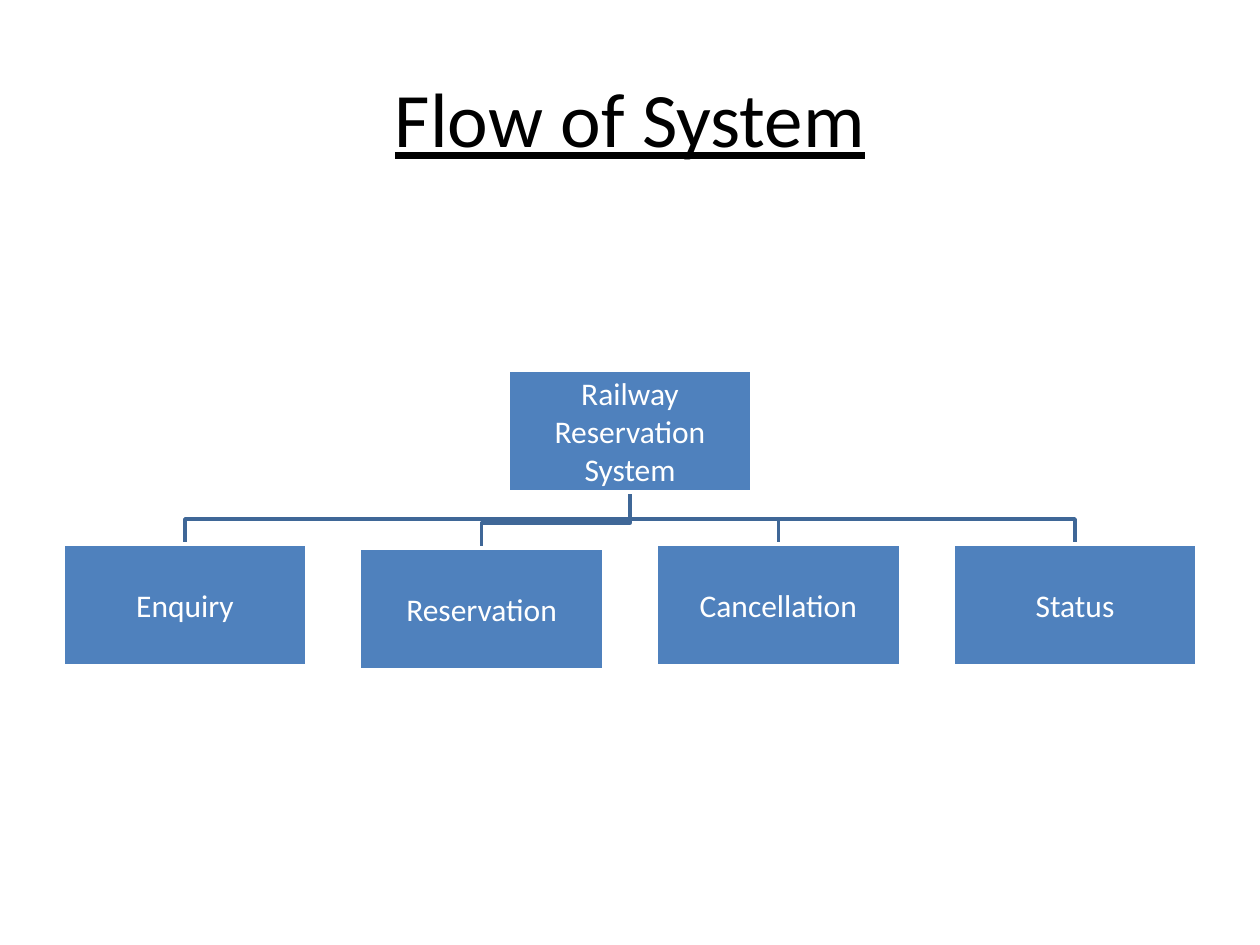
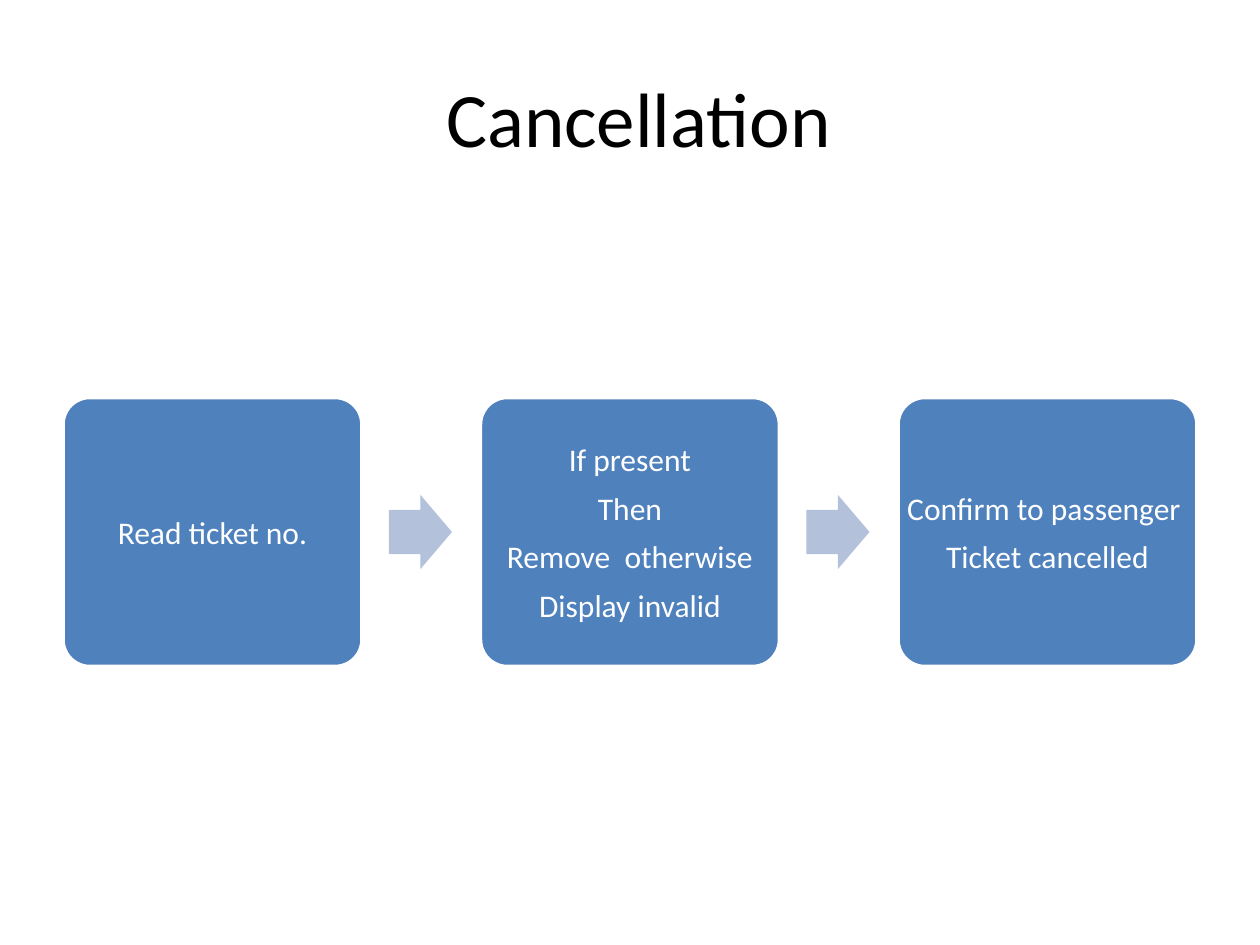
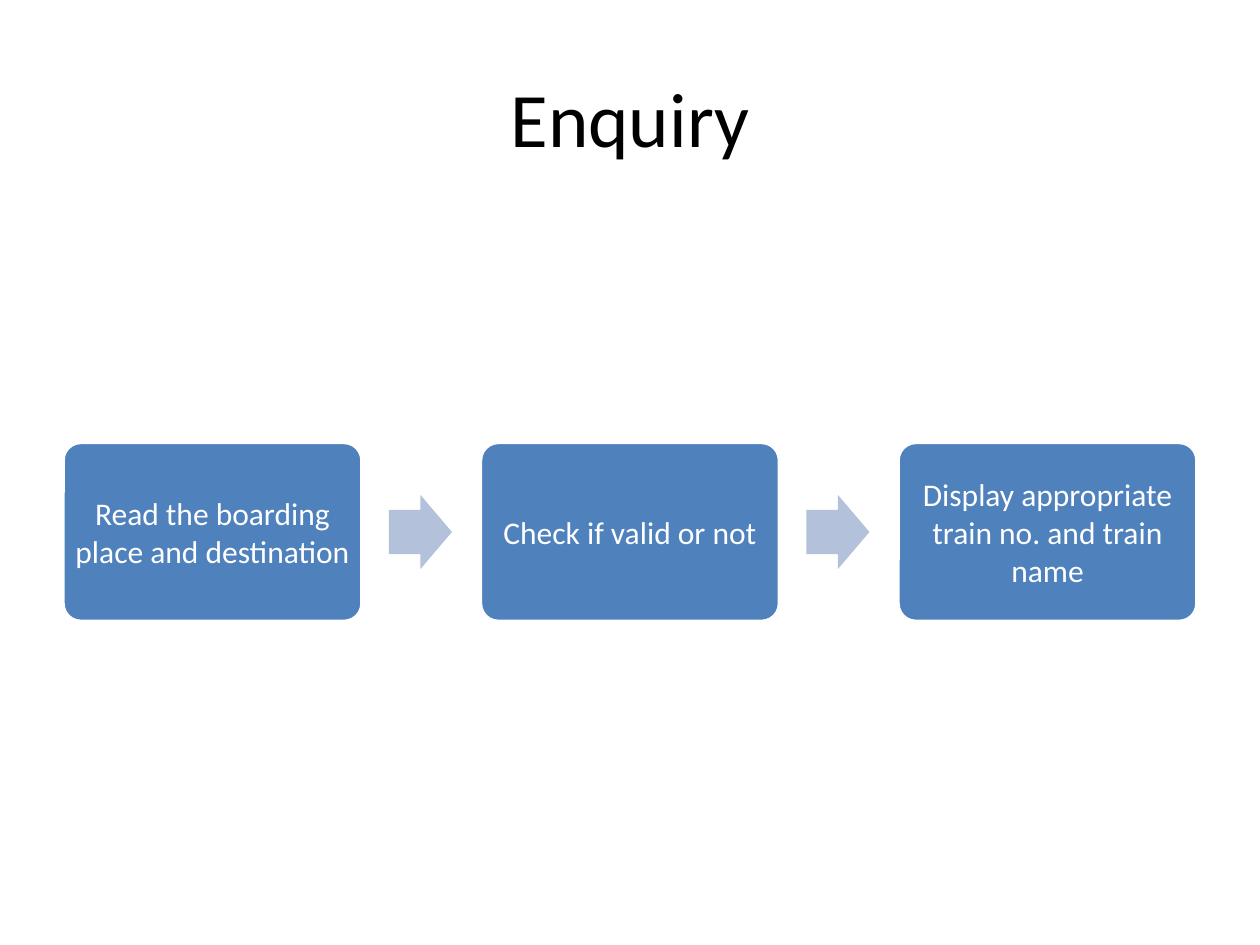
"""Builds three slides on a railway reservation system: its parts and two processes."""
from pptx import Presentation
from pptx.dml.color import RGBColor
from pptx.enum.shapes import MSO_SHAPE
from pptx.enum.text import MSO_ANCHOR, PP_ALIGN
from pptx.util import Pt

RECT, ROUNDED, ARROW = MSO_SHAPE.RECTANGLE, MSO_SHAPE.ROUNDED_RECTANGLE, MSO_SHAPE.RIGHT_ARROW
CENTER, MIDDLE = PP_ALIGN.CENTER, MSO_ANCHOR.MIDDLE

SYSTEM_TITLE = "Flow of System"
SYSTEM = "Railway Reservation System"
MODULES = [("Enquiry", 0), ("Reservation", 4), ("Cancellation", 0), ("Status", 0)]
PROCESSES = [
    (" Cancellation", 269, [
        ["Read ticket no."],
        ["If present", "Then", "Remove  otherwise", "Display invalid"],
        ["Confirm to passenger ", "Ticket cancelled"],
    ]),
    ("Enquiry", 179, [
        ["Read the boarding place and destination"],
        ["Check if valid or not"],
        ["Display appropriate train no. and train name"],
    ]),
]

FONT = "Calibri"
BLACK, WHITE, BLUE, BRANCH_BLUE, PALE_BLUE = "000000", "FFFFFF", "4F81BD", "3F6797", "B3C1DB"
EMU_PER_PX = 914400 / 126
SLIDE_W, SLIDE_H = 1260, 945
LEFT, CONTENT_W = 63, 1134
TITLE_TOP, TITLE_H = 38, 158
MODULE_W, MODULE_H = 244, 122
SYSTEM_TOP, MODULES_TOP, BRANCH_DROP = 370, 544, 25
STEP_W, FLOW_MIDDLE = 299, 532
ARROW_W, ARROW_H, ARROW_GAP = 63, 74, 27
CORNER = 0.1
CORNER_INSET = 0.29


def px(length):
    return round(length * EMU_PER_PX)


def color(hex_code):
    return RGBColor.from_string(hex_code)


def write(paragraph, text, size, hex_code, underline=None):
    paragraph.alignment = CENTER
    run = paragraph.add_run()
    run.text = text
    run.font.name = FONT
    run.font.size = Pt(size)
    run.font.color.rgb = color(hex_code)
    run.font.underline = underline


def titled_slide(deck, text, underline=None):
    slide = deck.slides.add_slide(deck.slide_layouts[5])
    title = slide.shapes.title
    title.left, title.top = px(LEFT), px(TITLE_TOP)
    title.width, title.height = px(CONTENT_W), px(TITLE_H)
    title.text_frame.vertical_anchor = MIDDLE
    write(title.text_frame.paragraphs[0], text, 44, BLACK, underline)
    return slide


def filled(slide, kind, x, y, w, h, fill):
    shape = slide.shapes.add_shape(kind, px(x), px(y), px(w), px(h))
    shape.shadow.inherit = False
    shape.fill.solid()
    shape.fill.fore_color.rgb = color(fill)
    shape.line.fill.background()
    return shape


def box(slide, kind, x, y, w, h, lines, margin):
    shape = filled(slide, kind, x, y, w, h, BLUE)
    shape.line.color.rgb = color(WHITE)
    shape.line.width = Pt(2)
    frame = shape.text_frame
    frame.word_wrap = True
    frame.vertical_anchor = MIDDLE
    frame.margin_left = frame.margin_right = px(margin)
    frame.margin_top = frame.margin_bottom = px(margin)
    for number, line in enumerate(lines):
        paragraph = frame.add_paragraph() if number else frame.paragraphs[0]
        paragraph.space_after = Pt(6.3)
        write(paragraph, line, 18, WHITE)
    return shape


def branch(slide, start_x, start_y, end_x, end_y):
    bend_y = end_y - BRANCH_DROP
    outline = slide.shapes.build_freeform(px(start_x), px(start_y))
    corners = [(start_x, bend_y), (end_x, bend_y), (end_x, end_y)]
    outline.add_line_segments([(px(x), px(y)) for x, y in corners], close=False)
    shape = outline.convert_to_shape()
    shape.shadow.inherit = False
    shape.fill.background()
    shape.line.color.rgb = color(BRANCH_BLUE)
    shape.line.width = Pt(2)


def system_slide(deck):
    slide = titled_slide(deck, SYSTEM_TITLE, underline=True)
    pitch = (CONTENT_W - MODULE_W) / (len(MODULES) - 1)
    places = [(name, LEFT + i * pitch, MODULES_TOP + shift)
              for i, (name, shift) in enumerate(MODULES)]
    for _, x, y in places:
        branch(slide, SLIDE_W / 2, SYSTEM_TOP + MODULE_H, x + MODULE_W / 2, y)
    system = (SYSTEM, (SLIDE_W - MODULE_W) / 2, SYSTEM_TOP)
    for name, x, y in [system] + places:
        box(slide, RECT, x, y, MODULE_W, MODULE_H, [name], 1)


def process_slide(deck, title, step_h, steps):
    slide = titled_slide(deck, title)
    pitch = (CONTENT_W - STEP_W) / (len(steps) - 1)
    margin = 9 - CORNER_INSET * CORNER * step_h
    for i, lines in enumerate(steps):
        x = LEFT + i * pitch
        if i:
            arrow = filled(slide, ARROW, x - pitch + STEP_W + ARROW_GAP,
                           FLOW_MIDDLE - ARROW_H / 2, ARROW_W, ARROW_H, PALE_BLUE)
            arrow.adjustments[0] = 0.6
            arrow.adjustments[1] = 0.5
        step = box(slide, ROUNDED, x, FLOW_MIDDLE - step_h / 2, STEP_W, step_h, lines, margin)
        step.adjustments[0] = CORNER


def main():
    deck = Presentation()
    deck.slide_width, deck.slide_height = px(SLIDE_W), px(SLIDE_H)
    system_slide(deck)
    for title, step_h, steps in PROCESSES:
        process_slide(deck, title, step_h, steps)
    deck.save("out.pptx")


if __name__ == "__main__":
    main()
